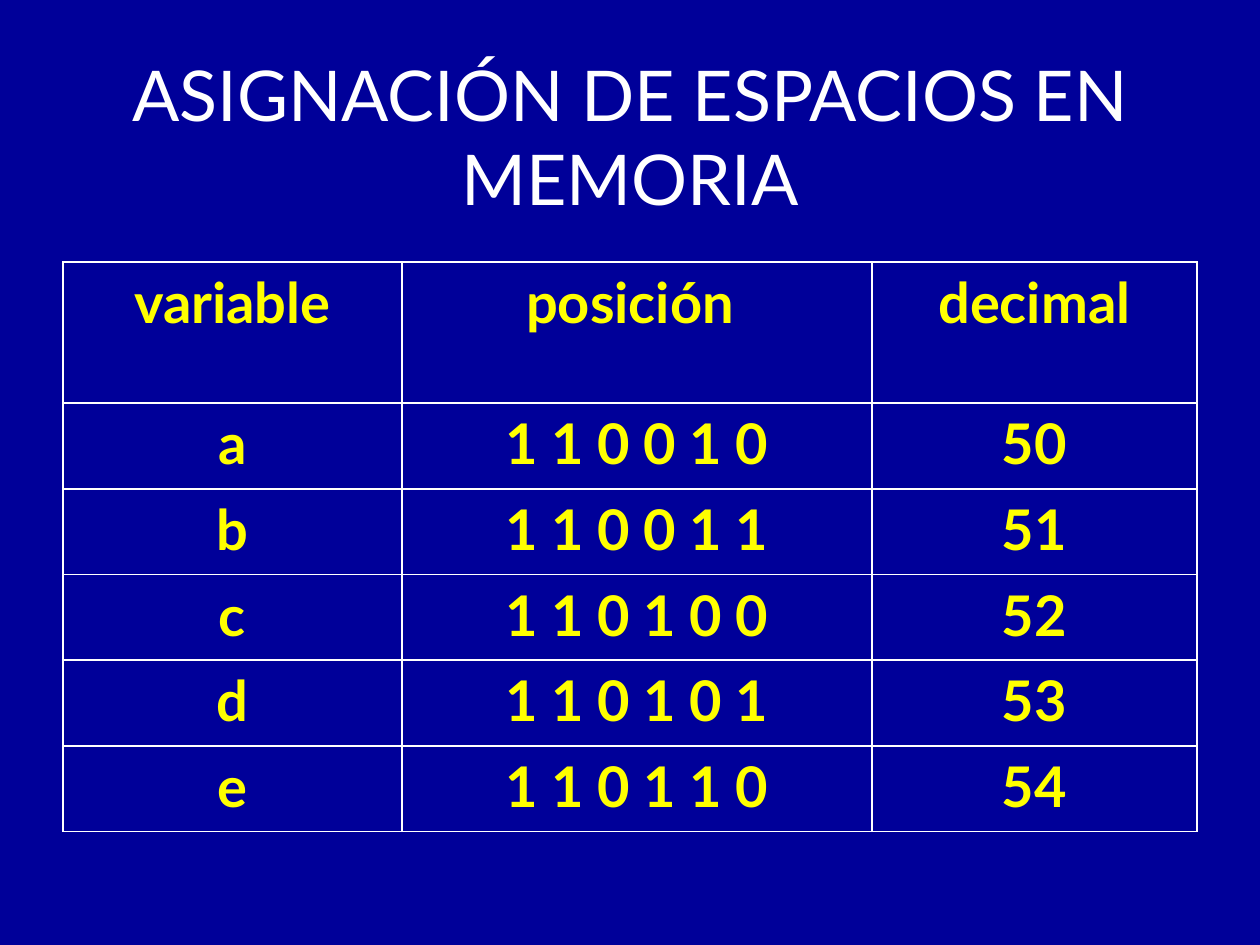
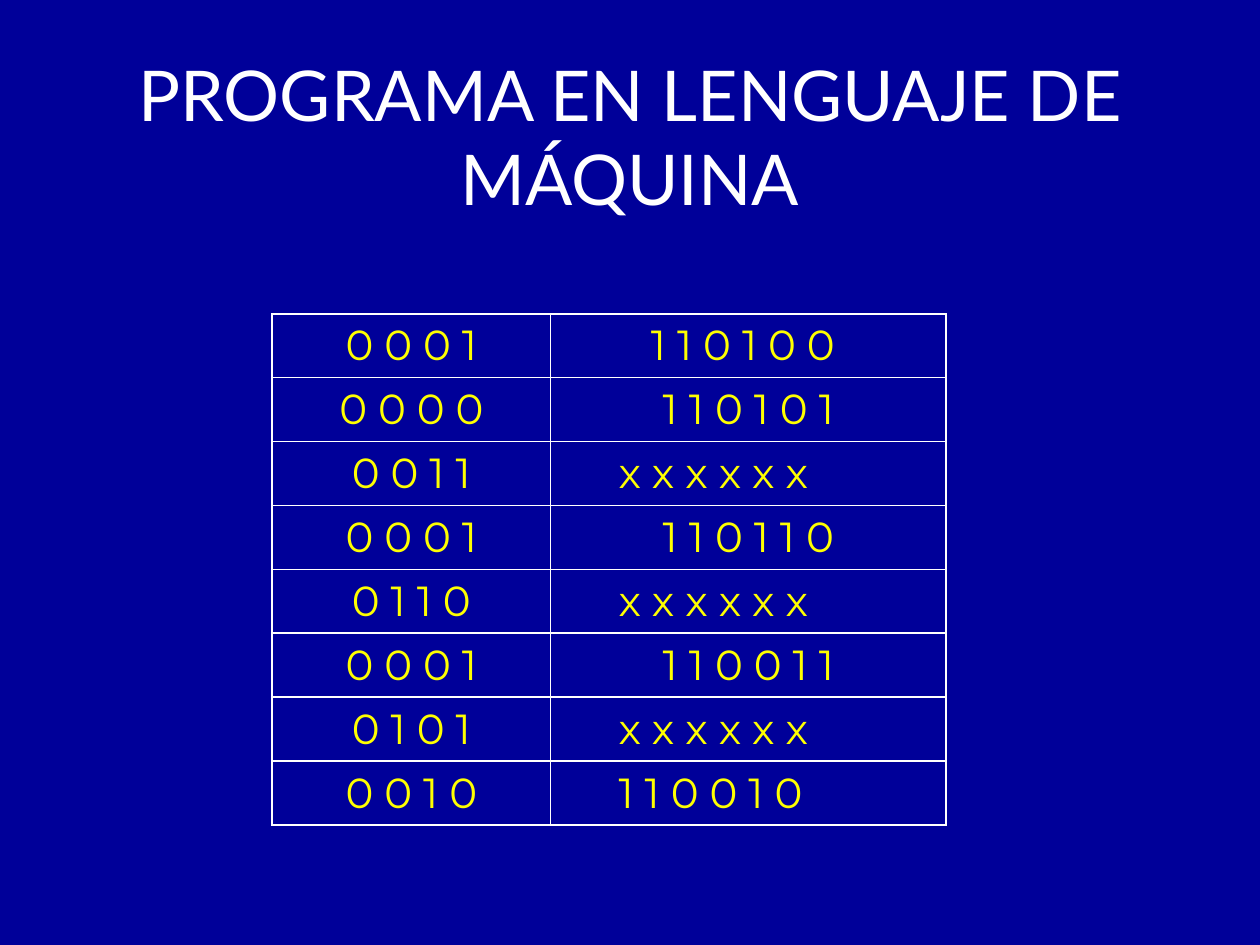
from lxml.etree import SubElement
from pptx import Presentation
from pptx.dml.color import RGBColor
from pptx.enum.text import MSO_ANCHOR as Anchor, PP_ALIGN as Align
from pptx.oxml.ns import qn
from pptx.util import Inches, Pt

NAVY, WHITE, YELLOW = "000099", "FFFFFF", "FFFF00"

MEMORY = dict(
    title="ASIGNACIÓN DE ESPACIOS EN MEMORIA",
    left=0.5, top=2.08, widths=[2.69, 3.73, 2.58], heights=[1.12] + [0.68] * 5,
    rows=[
        ("variable", "posición ", "decimal"),
        ("a", "1 1 0 0 1 0", "50"),
        ("b", "1 1 0 0 1 1", "51"),
        ("c", "1 1 0 1 0 0", "52"),
        ("d", "1 1 0 1 0 1", "53"),
        ("e", "1 1 0 1 1 0", "54"),
    ],
    style=dict(font="Lato", size=32, bold=True),
    indented=[],
)

PROGRAM = dict(
    title="PROGRAMA EN LENGUAJE DE MÁQUINA",
    left=2.16, top=2.49, widths=[2.21, 3.14], heights=[0.5] * 8,
    rows=[
        ("0 0 0 1", "1 1 0 1 0 0 "),
        ("0 0 0 0", "1 1 0 1 0 1"),
        ("0 0 1 1", "x x x x x x"),
        ("0 0 0 1", "1 1 0 1 1 0"),
        ("0 1 1 0", "x x x x x x"),
        ("0 0 0 1", "1 1 0 0 1 1"),
        ("0 1 0 1", "x x x x x x"),
        ("0 0 1 0", "1 1 0 0 1 0"),
    ],
    style=dict(font="Montserrat", size=24),
    indented=[(2, 1), (4, 1), (6, 1), (7, 1)],
)


def color(value):
    return RGBColor.from_string(value)


def write(frame, text, font="Lato", size=40, fill=WHITE, bold=False, align=Align.CENTER):
    para = frame.paragraphs[0]
    para.alignment = align
    span = para.add_run()
    span.text = text
    span.font.name = font
    span.font.size = Pt(size)
    span.font.bold = bold
    span.font.color.rgb = color(fill)


def add_borders(cell, width=1):
    properties = cell._tc.get_or_add_tcPr()
    for side in ("lnL", "lnR", "lnT", "lnB"):
        line = SubElement(properties, qn(f"a:{side}"), w=str(Pt(width)))
        SubElement(SubElement(line, qn("a:solidFill")), qn("a:srgbClr"), val=WHITE)


def add_title(page, text):
    box = page.shapes.title
    box.left, box.top, box.width, box.height = map(Inches, (0.5, 0.32, 9, 1.51))
    box.text_frame.vertical_anchor = Anchor.MIDDLE
    box.text_frame.word_wrap = True
    write(box.text_frame, text)


def add_grid(page, left, top, widths, heights, rows, style, indented):
    frame = page.shapes.add_table(
        len(rows), len(widths), Inches(left), Inches(top),
        Inches(sum(widths)), Inches(sum(heights)))
    table = frame.table
    table.first_row = table.horz_banding = False
    for column, width in zip(table.columns, widths):
        column.width = Inches(width)
    for row, height in zip(table.rows, heights):
        row.height = Inches(height)
    for r, texts in enumerate(rows):
        for c, text in enumerate(texts):
            cell = table.cell(r, c)
            align = Align.CENTER
            if (r, c) in indented:
                align = Align.LEFT
                cell.margin_left = Inches(0.54)
            add_borders(cell)
            cell.fill.background()
            write(cell.text_frame, text, fill=YELLOW, align=align, **style)


def main():
    deck = Presentation()
    deck.slide_width, deck.slide_height = Inches(10), Inches(7.5)
    background = deck.slide_master.background.fill
    background.solid()
    background.fore_color.rgb = color(NAVY)
    for content in (MEMORY, PROGRAM):
        page = deck.slides.add_slide(deck.slide_layouts[5])
        grid = dict(content)
        add_title(page, grid.pop("title"))
        add_grid(page, **grid)
    deck.save("out.pptx")


if __name__ == "__main__":
    main()
